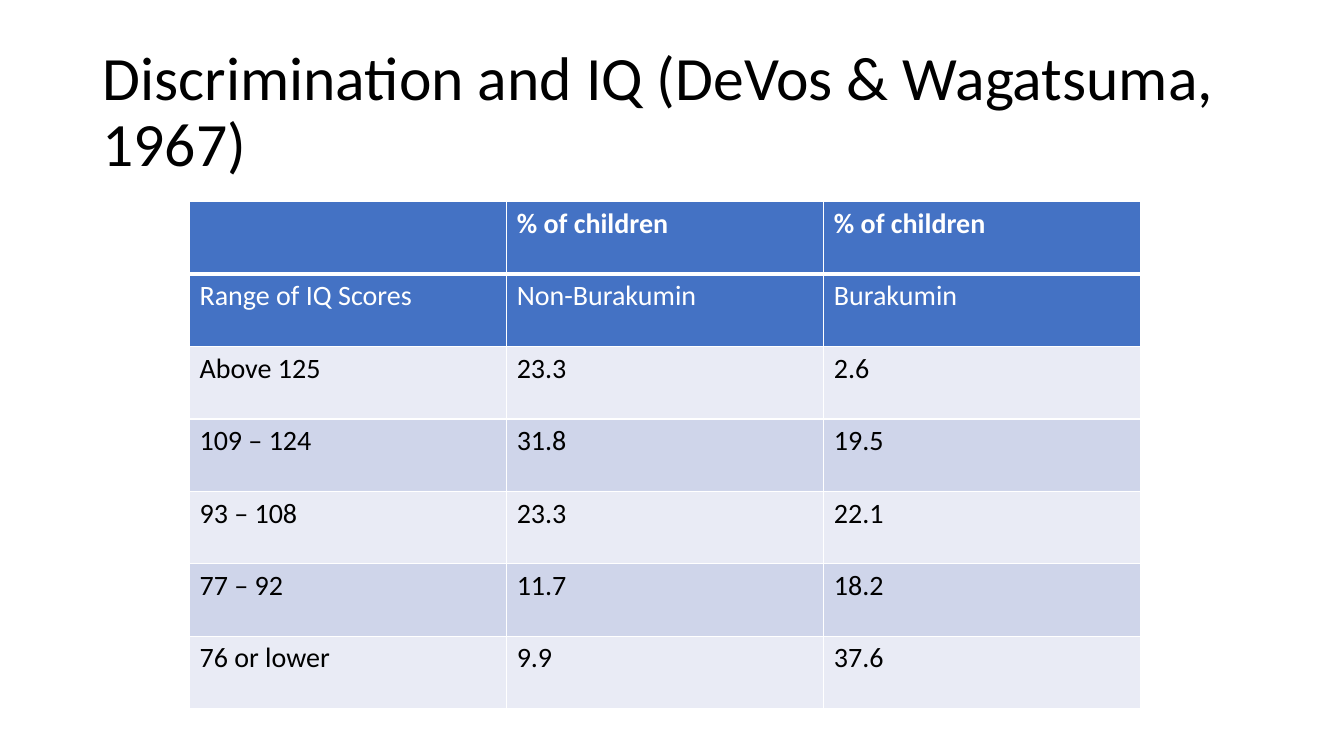
from dataclasses import dataclass

from lxml import etree
from pptx import Presentation
from pptx import util as u
from pptx.dml.color import RGBColor
from pptx.enum import text
from pptx.oxml import ns


@dataclass(frozen=True)
class Theme:
    font: str = "Calibri"
    ink: str = "000000"
    paper: str = "FFFFFF"
    head: str = "4472C4"
    bands: tuple = ("E9EBF5", "CFD5EA")
    title: int = 44
    body: int = 20
    thin: int = 1
    thick: int = 3


class Deck:
    def __init__(self, theme):
        self.theme = theme
        self.show = Presentation()
        self.show.slide_width = u.Inches(13.33)
        self.show.slide_height = u.Inches(7.5)
        self.slide = self.show.slides.add_slide(self.show.slide_layouts[6])

    def place(self, left, top, width, height):
        """Turn percentages of the slide into lengths."""
        wide, high = self.show.slide_width, self.show.slide_height
        return [u.Emu(round(share * full / 100)) for share, full in
                ((left, wide), (top, high), (width, wide), (height, high))]

    def style(self, para, size, color, bold=False):
        for run in para.runs:
            run.font.name = self.theme.font
            run.font.size = u.Pt(size)
            run.font.bold = bold
            run.font.color.rgb = RGBColor.from_string(color)

    def title(self, words, *area):
        frame = self.slide.shapes.add_textbox(*self.place(*area)).text_frame
        frame.word_wrap = True
        frame.vertical_anchor = text.MSO_ANCHOR.MIDDLE
        frame.text = words
        para = frame.paragraphs[0]
        para.line_spacing = 0.9
        self.style(para, self.theme.title, self.theme.ink)

    def edge(self, cell, side, width):
        line = etree.SubElement(cell._tc.get_or_add_tcPr(), ns.qn(f"a:ln{side}"),
                                w=str(u.Pt(width)))
        fill = etree.SubElement(line, ns.qn("a:solidFill"))
        etree.SubElement(fill, ns.qn("a:srgbClr"), val=self.theme.paper)

    def table(self, rows, heads, *area):
        theme = self.theme
        left, top, width, height = self.place(*area)
        grid = self.slide.shapes.add_table(
            len(rows), len(rows[0]), left, top, width, height).table
        for r, row in enumerate(rows):
            is_head = r < heads
            fill = theme.head if is_head else theme.bands[(r - heads) % 2]
            color = theme.paper if is_head else theme.ink
            for c, words in enumerate(row):
                cell = grid.cell(r, c)
                # Borders come before the fill; a thick rule follows the first row
                for side in "LRTB":
                    rule = (r, side) in ((0, "B"), (1, "T"))
                    self.edge(cell, side, theme.thick if rule else theme.thin)
                cell.fill.solid()
                cell.fill.fore_color.rgb = RGBColor.from_string(fill)
                cell.text_frame.text = words
                self.style(cell.text_frame.paragraphs[0], theme.body, color, r == 0)


def main():
    deck = Deck(Theme())

    # Heading
    deck.title("Discrimination and IQ (DeVos & Wagatsuma, 1967)",
               6.9, 5.33, 86.27, 19.33)

    # Share of children in each range of scores
    scores = [
        ("", "% of children", "% of children"),
        ("Range of IQ Scores", "Non-Burakumin", "Burakumin"),
        ("Above 125", "23.3", "2.6"),
        ("109 – 124", "31.8", "19.5"),
        ("93 – 108", "23.3", "22.1"),
        ("77 – 92", "11.7", "18.2"),
        ("76 or lower", "9.9", "37.6"),
    ]
    deck.table(scores, 2, 14.1, 26.67, 70.8, 67.07)

    deck.show.save("out.pptx")


if __name__ == "__main__":
    main()
